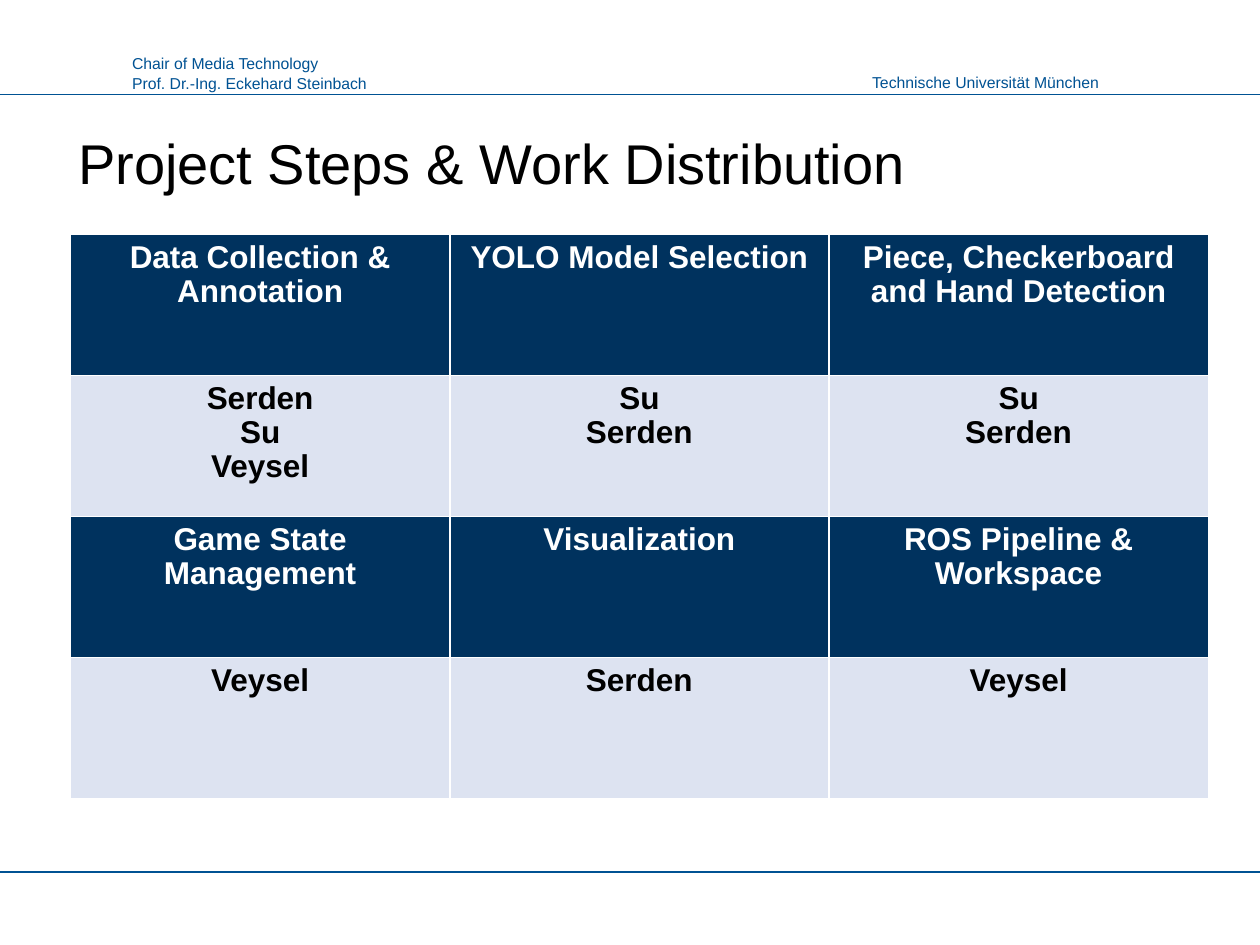
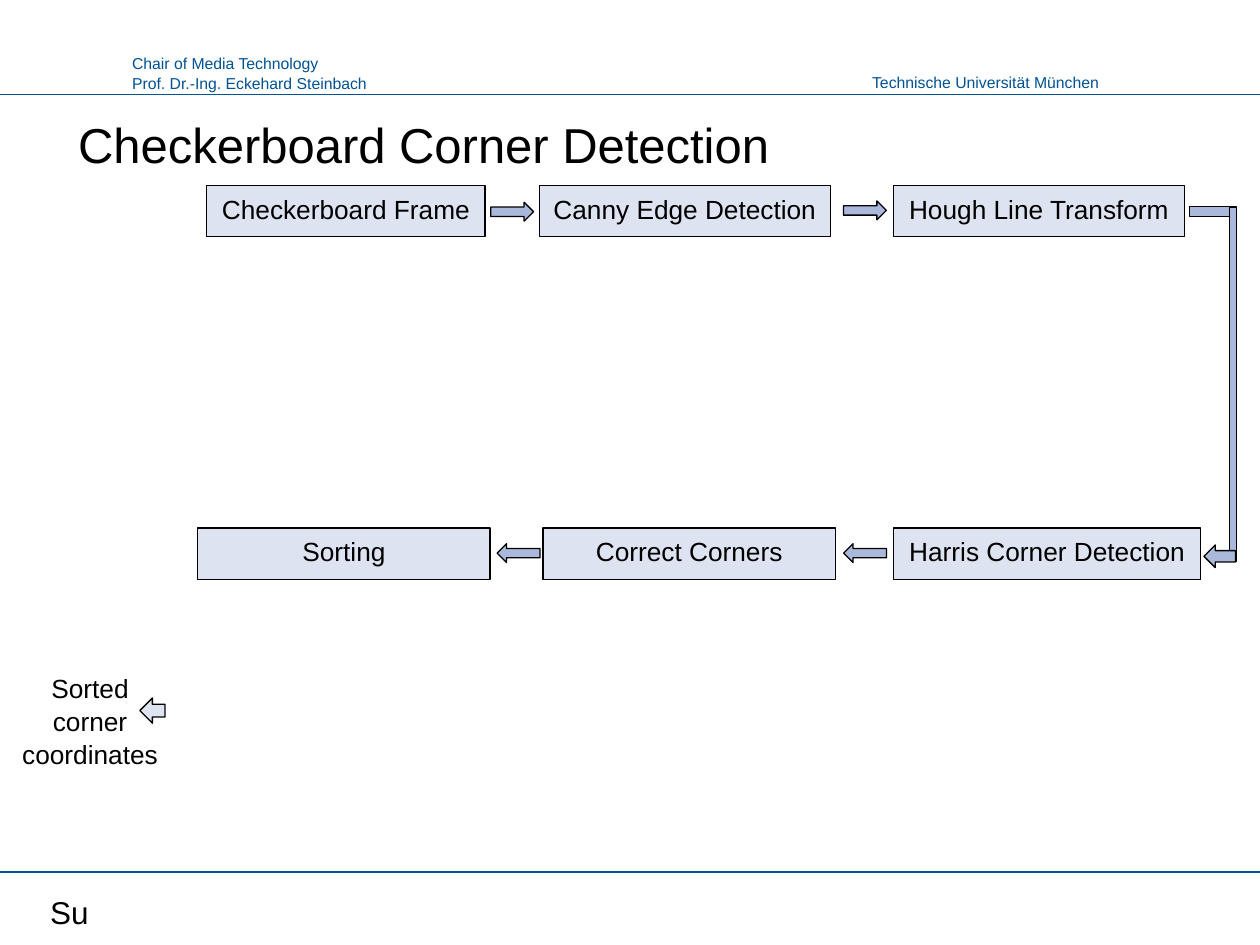
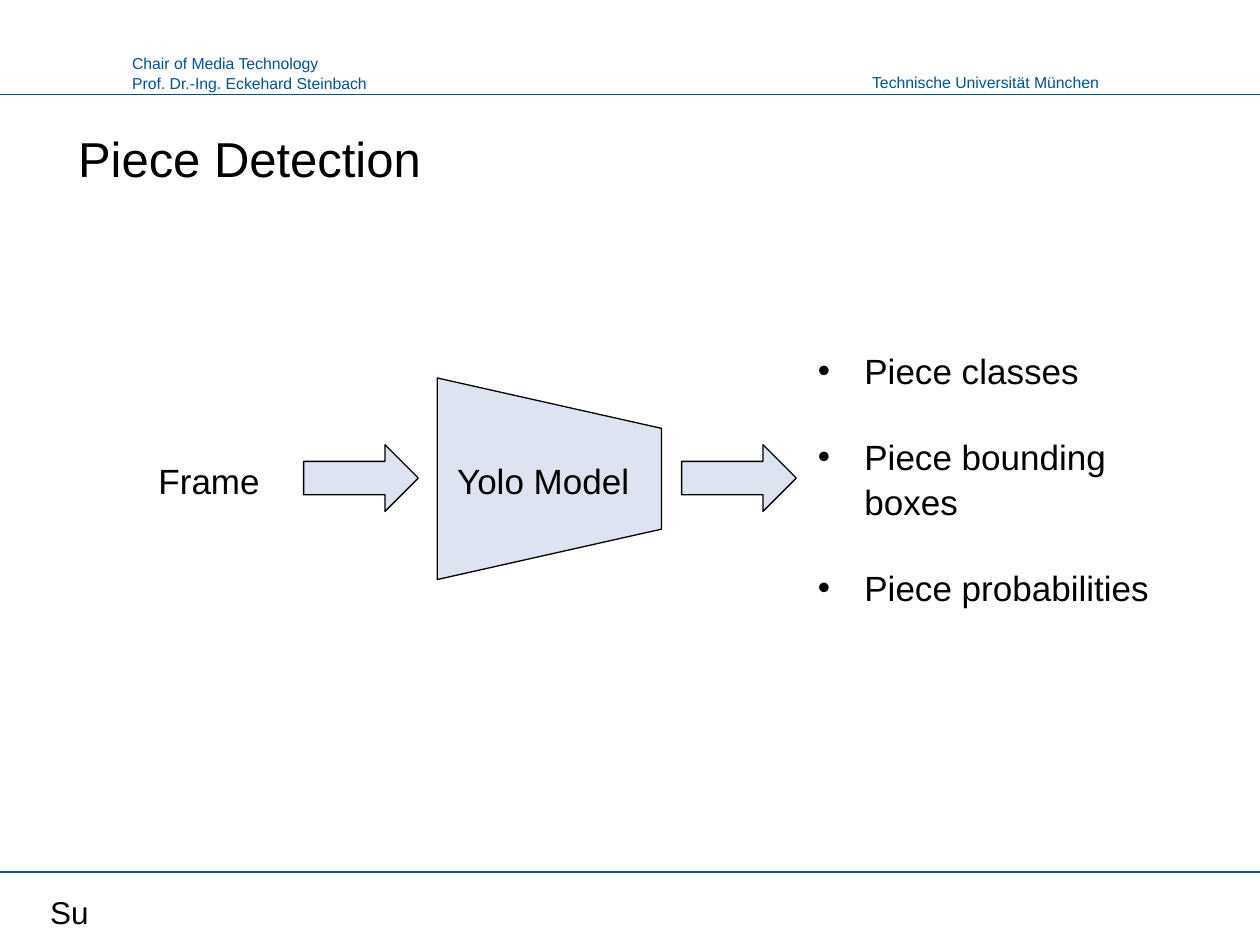
import lxml.etree
import pptx
import pptx.dml.color
import pptx.enum.shapes
import pptx.enum.text
import pptx.oxml.ns
import pptx.util

RGBColor = pptx.dml.color.RGBColor
SHAPE = pptx.enum.shapes.MSO_SHAPE
ALIGN = pptx.enum.text.PP_ALIGN
ANCHOR = pptx.enum.text.MSO_ANCHOR

BLACK = RGBColor(0x00, 0x00, 0x00)
WHITE = RGBColor(0xFF, 0xFF, 0xFF)
HEADER_BLUE = RGBColor(0x00, 0x52, 0x93)
NAVY = RGBColor(0x00, 0x32, 0x5E)
PALE_BLUE = RGBColor(0xDD, 0xE3, 0xF1)
ARROW_BLUE = RGBColor(0xAA, 0xB8, 0xDB)

FONT = "Arial"
EMU_PER_PX = 9144
SLIDE_WIDTH, SLIDE_HEIGHT = 1000, 750
TITLE_ONLY, TITLE_AND_BODY = 5, 1


def px(length):
    """Turn a length in px into EMU."""
    return pptx.util.Emu(length * EMU_PER_PX)


def add_xml(parent, tag, **attributes):
    """Append a child element such as a:buChar to an XML element."""
    return lxml.etree.SubElement(parent, pptx.oxml.ns.qn(tag), attributes)


def write_text(frame, text, size=15, color=BLACK, bold=False, align=ALIGN.LEFT,
               anchor=ANCHOR.TOP, spacing=1.05, gap=0, bullet=None, indent=0):
    """Fill a text frame with one paragraph for each line of text."""
    frame.vertical_anchor = anchor
    frame.text = text
    for index, paragraph in enumerate(frame.paragraphs):
        if bullet:
            properties = paragraph._p.get_or_add_pPr()
            properties.set("marL", str(px(indent)))
            properties.set("indent", str(-px(indent)))
            add_xml(properties, "a:buChar", char=bullet)
        paragraph.alignment = align
        paragraph.line_spacing = spacing
        paragraph.space_before = pptx.util.Pt(gap if index else 0)
        paragraph.font.name = FONT
        paragraph.font.size = pptx.util.Pt(size)
        paragraph.font.bold = bold
        paragraph.font.color.rgb = color


def place(shape, left, top, width, height):
    """Move and size a placeholder."""
    shape.left, shape.top = px(left), px(top)
    shape.width, shape.height = px(width), px(height)


def add_label(slide, text, left, top, width, height, wrap=True, **text_format):
    """Add a text box."""
    box = slide.shapes.add_textbox(px(left), px(top), px(width), px(height))
    box.text_frame.word_wrap = wrap
    write_text(box.text_frame, text, **text_format)


def add_block(slide, kind, left, top, width, height, fill=PALE_BLUE, rotation=0, text=None):
    """Add an outlined preset shape, with centred text if given."""
    shape = slide.shapes.add_shape(kind, px(left), px(top), px(width), px(height))
    shape.shadow.inherit = False
    shape.rotation = rotation
    shape.fill.solid()
    shape.fill.fore_color.rgb = fill
    shape.line.color.rgb = BLACK
    shape.line.width = pptx.util.Pt(0.75)
    if text:
        write_text(shape.text_frame, text, align=ALIGN.CENTER)
    return shape


def add_rule(slide, top):
    """Add a line across the whole slide."""
    rule = slide.shapes.add_connector(
        pptx.enum.shapes.MSO_CONNECTOR.STRAIGHT, 0, px(top), px(SLIDE_WIDTH), px(top))
    rule.line.color.rgb = HEADER_BLUE
    rule.line.width = pptx.util.Pt(0.75)
    add_xml(rule._element.spPr, "a:effectLst")


def add_page(presentation, layout, title, size=28, top=93, presenter=None):
    """Add a slide with the shared header, rules, title and presenter."""
    slide = presentation.slides.add_slide(presentation.slide_layouts[layout])
    add_label(slide, "Technische Universität München", 681, 52, 201, 25,
              wrap=False, size=9, color=HEADER_BLUE, align=ALIGN.RIGHT)
    add_label(slide, "Chair of Media Technology\nProf. Dr.-Ing. Eckehard Steinbach",
              95, 37, 207, 40, wrap=False, size=9, color=HEADER_BLUE)
    for rule_top in (75, 692):
        add_rule(slide, rule_top)
    heading = slide.shapes.title
    place(heading, 56, top, 889, 66)
    frame = heading.text_frame
    frame.auto_size = pptx.enum.text.MSO_AUTO_SIZE.NONE
    frame.margin_left, frame.margin_top = px(6), px(9)
    write_text(frame, title, size=size, spacing=1.0)
    if presenter:
        add_label(slide, presenter, 30, 702, 240, 38, size=18)
    return slide


def style_cell(cell, text, fill, color):
    """Give a table cell its white borders, fill and text."""
    properties = cell._tc.get_or_add_tcPr()
    for side in "LRTB":
        border = add_xml(properties, "a:ln" + side, w=str(pptx.util.Pt(0.96)))
        add_xml(add_xml(border, "a:solidFill"), "a:srgbClr", val=str(WHITE))
    cell.fill.solid()
    cell.fill.fore_color.rgb = fill
    write_text(cell.text_frame, text, size=18, color=color, bold=True,
               align=ALIGN.CENTER, spacing=0.97)


def add_work_table(slide, rows, left, top, column_width, row_height):
    """Add a table whose rows alternate between tasks and people."""
    columns = len(rows[0])
    table = slide.shapes.add_table(
        len(rows), columns, px(left), px(top),
        px(columns * column_width), px(len(rows) * row_height)).table
    table.horz_banding = False
    for row_index, row in enumerate(rows):
        fill, color = (PALE_BLUE, BLACK) if row_index % 2 else (NAVY, WHITE)
        for column_index, text in enumerate(row):
            style_cell(table.cell(row_index, column_index), text, fill, color)


def build_work_slide(presentation):
    """Build the slide that shares out the work."""
    slide = add_page(presentation, TITLE_ONLY, "Project Steps & Work Distribution", size=32)
    rows = [
        ["Data Collection & Annotation", "YOLO Model Selection",
         "Piece, Checkerboard and Hand Detection"],
        ["Serden\nSu\nVeysel", "Su\nSerden", "Su\nSerden"],
        ["Game State Management", "Visualization", "ROS Pipeline & Workspace"],
        ["Veysel", "Serden", "Veysel"],
    ]
    add_work_table(slide, rows, 56, 186, 301, 112)


def build_corner_slide(presentation):
    """Build the flow of corner detection steps."""
    slide = add_page(presentation, TITLE_ONLY, "Checkerboard Corner Detection",
                     top=82, presenter="Su")
    steps = [
        ("Checkerboard Frame", 164, 147, 221),
        ("Canny Edge Detection", 428, 147, 231),
        ("Hough Line Transform", 709, 147, 231),
        ("Harris Corner Detection", 709, 419, 244),
        ("Correct Corners", 431, 419, 232),
        ("Sorting", 157, 419, 232),
    ]
    for text, left, top, width in steps:
        add_block(slide, SHAPE.RECTANGLE, left, top, width, 41, text=text)
    add_block(slide, SHAPE.LEFT_ARROW, 111, 554, 20, 20)
    add_label(slide, "Sorted corner coordinates", 6, 527, 131, 85, align=ALIGN.CENTER)

    step_arrows = [(399, 151, 270), (679, 150, 270), (679, 422, 90), (404, 422, 90)]
    for left, top, rotation in step_arrows:
        add_block(slide, SHAPE.DOWN_ARROW, left, top, 15, 34, ARROW_BLUE, rotation)
    add_block(slide, SHAPE.RECTANGLE, 944, 164, 37, 8, ARROW_BLUE)
    add_block(slide, SHAPE.RECTANGLE, 838, 302, 281, 6, ARROW_BLUE, 90)
    add_block(slide, SHAPE.DOWN_ARROW, 959, 429, 18, 25, ARROW_BLUE, 90)


def build_piece_slide(presentation):
    """Build the slide of the piece detection model."""
    slide = add_page(presentation, TITLE_AND_BODY, "Piece Detection", presenter="Su")
    model = add_block(slide, SHAPE.TRAPEZOID, 356, 291, 160, 178, rotation=90)
    model.adjustments[0] = 0.25
    add_label(slide, "Yolo Model", 353, 358, 166, 43, size=20)
    add_label(slide, "Frame", 116, 358, 130, 43, size=20)
    for left in (241, 541):
        add_block(slide, SHAPE.RIGHT_ARROW, left, 353, 91, 53)

    outputs = slide.placeholders[1]
    place(outputs, 639, 271, 335, 243)
    outputs.text_frame.auto_size = pptx.enum.text.MSO_AUTO_SIZE.NONE
    outputs.text_frame.margin_right = px(20)
    write_text(outputs.text_frame, "Piece classes\nPiece bounding boxes\nPiece probabilities",
               size=20, gap=24, bullet="•", indent=37)


def main():
    """Build and save the presentation."""
    presentation = pptx.Presentation()
    presentation.slide_width = px(SLIDE_WIDTH)
    presentation.slide_height = px(SLIDE_HEIGHT)
    build_work_slide(presentation)
    build_corner_slide(presentation)
    build_piece_slide(presentation)
    presentation.save("out.pptx")


if __name__ == "__main__":
    main()
